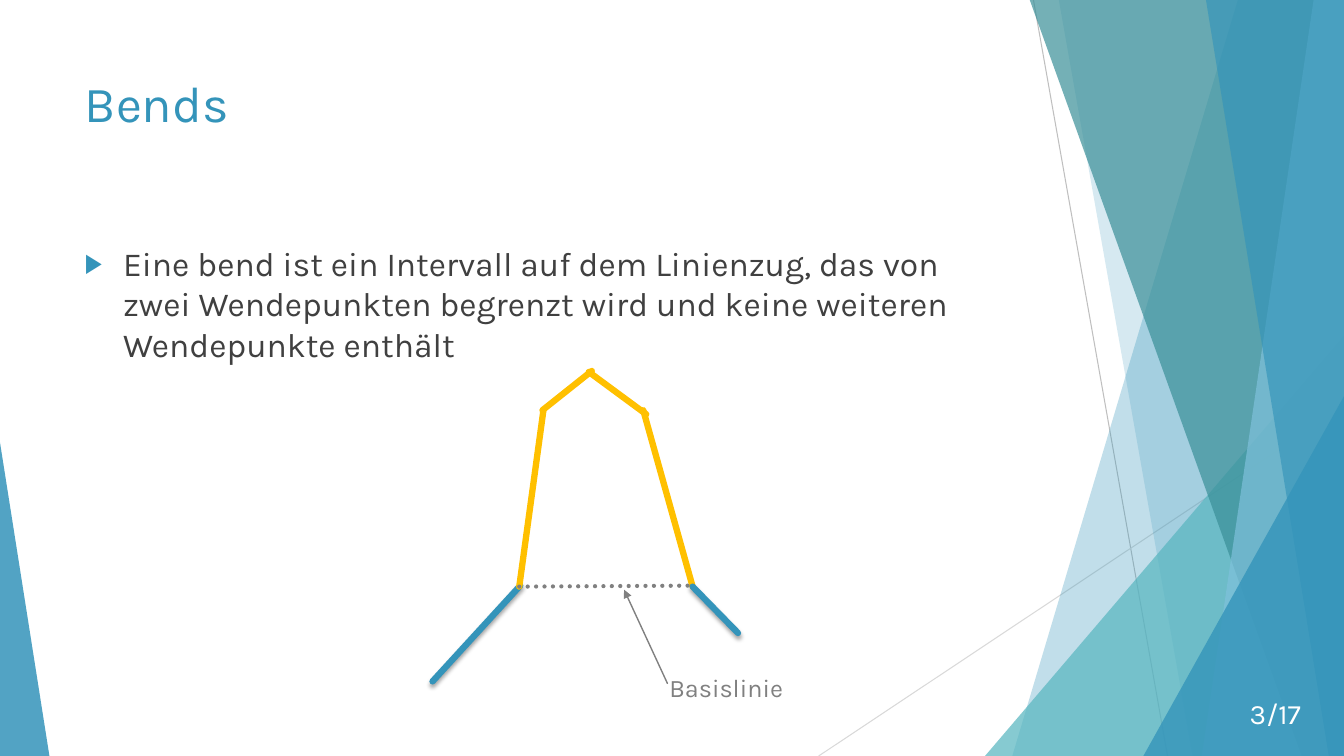
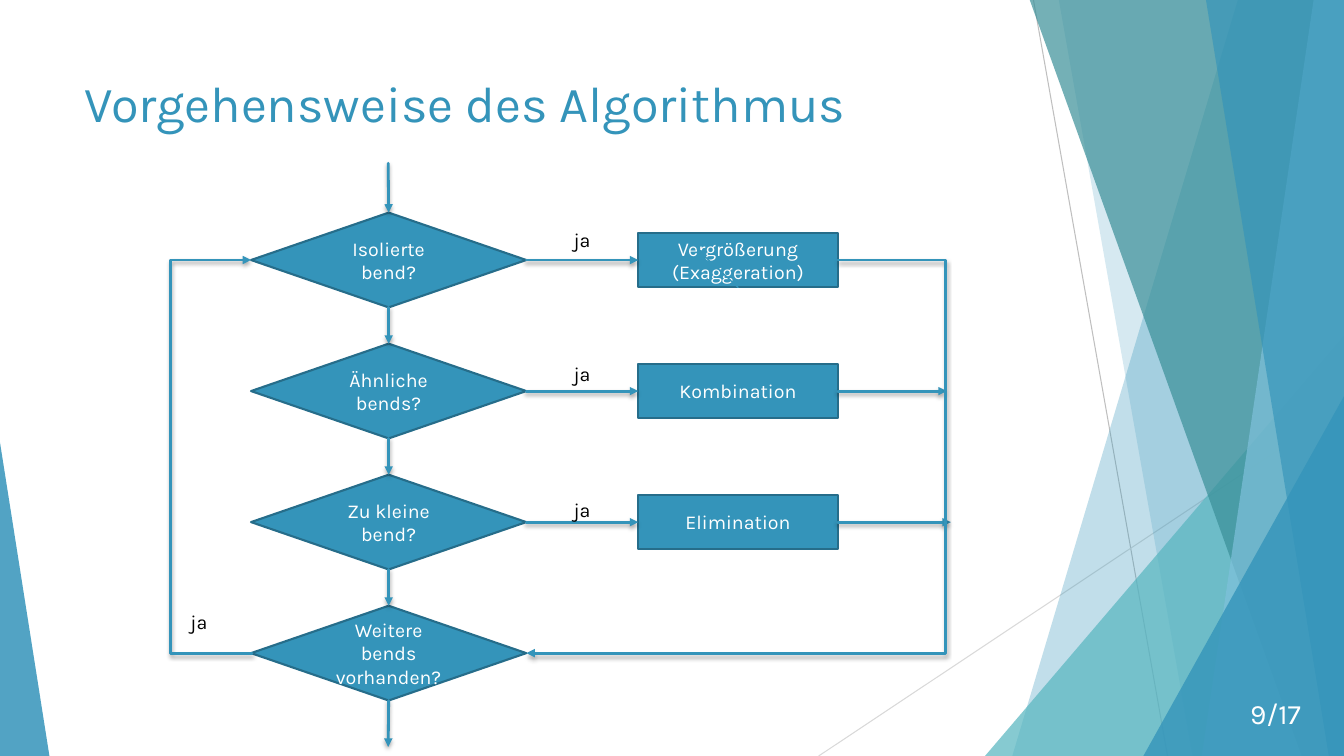
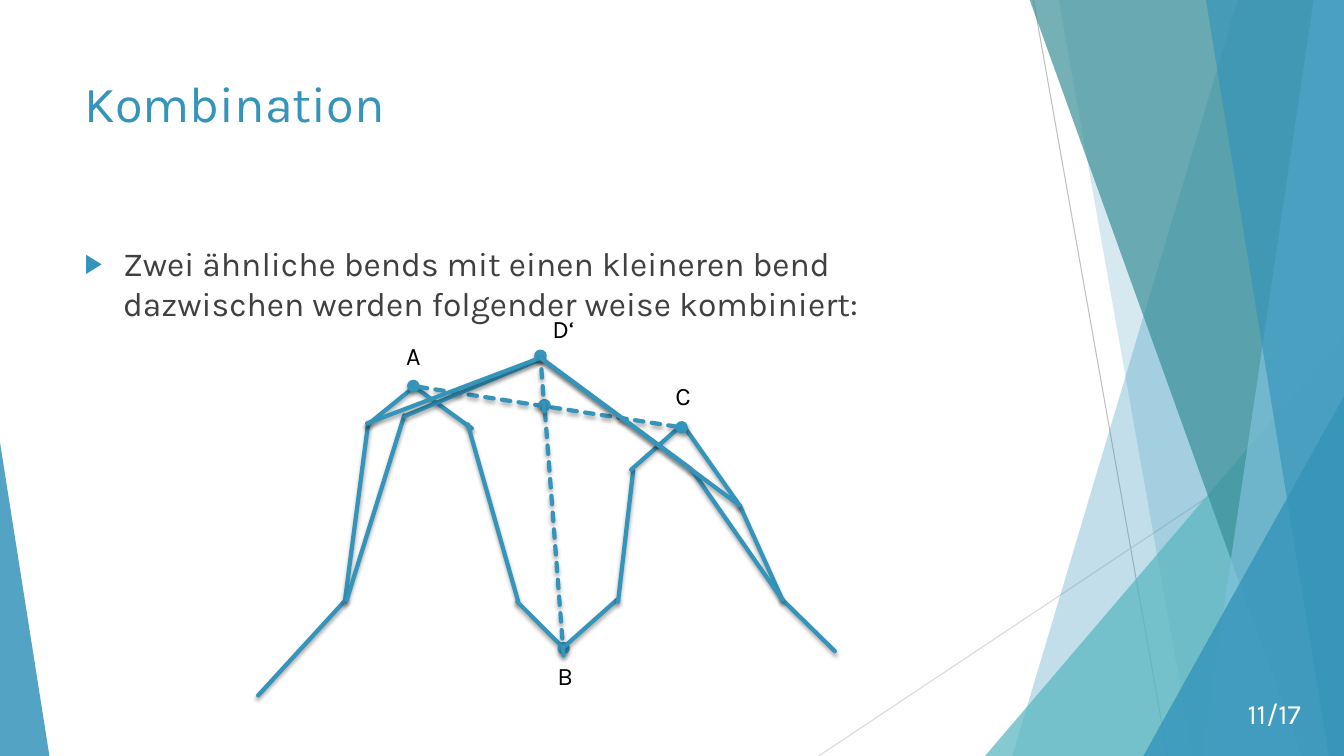
from dataclasses import dataclass
from typing import NamedTuple, Optional

from lxml import etree
from pptx import Presentation
from pptx.dml.color import RGBColor
from pptx.enum import dml, shapes, text
from pptx.oxml import ns
from pptx.util import Inches, Pt

BLUE = RGBColor(0x34, 0x94, 0xBA)
NAVY = RGBColor(0x26, 0x6D, 0x8A)
AQUA = RGBColor(0x58, 0xB6, 0xC0)
TEAL = RGBColor(0x3A, 0x8F, 0x98)
SKY = RGBColor(0x7F, 0xC1, 0xDB)
GOLD = RGBColor(0xFF, 0xC0, 0x00)
BLACK = RGBColor(0, 0, 0)
DARK = RGBColor(0x40, 0x40, 0x40)
GRAY = RGBColor(0x80, 0x80, 0x80)
SILVER = RGBColor(0xBF, 0xBF, 0xBF)
PALE = RGBColor(0xD9, 0xD9, 0xD9)
WHITE = RGBColor(0xFF, 0xFF, 0xFF)

FONT = "Karla"
WIDE, HIGH = 13.33, 7.5
TOTAL = 17
DOT = dml.MSO_LINE.ROUND_DOT
DASH = dml.MSO_LINE.SQUARE_DOT
LEFT = text.PP_ALIGN.LEFT
Point = tuple[float, float]


class Box(NamedTuple):
    left: float
    top: float
    width: float
    height: float


class Panel(NamedTuple):
    top: float
    base: float
    color: RGBColor
    alpha: int


class Wedge(NamedTuple):
    box: Box
    peak: float
    color: RGBColor
    alpha: int


class Label(NamedTuple):
    words: str
    box: Box


@dataclass(frozen=True)
class Line:
    start: Point
    end: Point
    color: RGBColor = BLUE
    width: float = 3
    dash: Optional[dml.MSO_LINE] = None
    head: str = ""
    tail: str = ""
    shadow: bool = True
    via: Optional[float] = None


TITLE = Box(0.74, 0.67, 9.4, 1.44)
BODY = Box(0.74, 2.36, 9.4, 4.24)
NUMBER = Box(11.75, 6.88, 1.25, 0.4)

RAYS = (
    Line((10.25, 0), (11.58, HIGH), SILVER, 0.75, shadow=False),
    Line((WIDE, 4.03), (8.12, HIGH), PALE, 0.75, shadow=False),
)
FACETS = (
    Panel(12.28, 10.04, BLUE, 30),
    Panel(10.5, 11.83, BLUE, 20),
    Wedge(Box(9.77, 3.33, 3.56, 4.17), 1, AQUA, 72),
    Panel(10.21, 12.91, TEAL, 70),
    Panel(13.03, 11.92, SKY, 70),
    Panel(11.96, 13.18, BLUE, 65),
    Wedge(Box(11.34, 3.93, 1.99, 3.57), 1, BLUE, 80),
    Wedge(Box(0, 4.39, 0.49, 3.11), 0, BLUE, 85),
)

BEND = (
    Line((4.29, 6.76), (5.16, 5.81), width=4.5),
    Line((5.15, 5.82), (5.39, 4.07), GOLD, 4.5, shadow=False),
    Line((5.38, 4.07), (5.87, 3.68), GOLD, 4.5, shadow=False),
    Line((5.84, 3.69), (6.41, 4.11), GOLD, 4.5, shadow=False),
    Line((6.38, 4.07), (6.87, 5.82), GOLD, 4.5, shadow=False),
    Line((6.87, 5.82), (7.32, 6.28), width=4.5),
    Line((5.15, 5.82), (6.87, 5.81), GRAY, 3, DOT, shadow=False),
    Line((6.62, 6.78), (6.19, 5.85), GRAY, 1, tail="triangle", shadow=False),
)

MERGE = (
    Line((2.56, 6.9), (3.43, 5.95)),
    Line((3.42, 5.97), (3.65, 4.21)),
    Line((3.65, 4.21), (4.13, 3.82)),
    Line((4.1, 3.83), (4.68, 4.25)),
    Line((4.64, 4.21), (5.14, 5.97)),
    Line((5.13, 5.97), (5.59, 6.43), tail="oval"),
    Line((5.58, 6.43), (6.12, 5.95)),
    Line((6.13, 5.97), (6.28, 4.67)),
    Line((6.26, 4.66), (6.77, 4.21)),
    Line((6.77, 4.21), (7.34, 5.02)),
    Line((7.34, 5.02), (7.76, 5.95)),
    Line((7.76, 5.95), (8.28, 6.46)),
    Line((4.1, 3.83), (6.76, 4.24), dash=DASH, head="oval", tail="oval"),
    Line((3.44, 5.95), (4.01, 4.12)),
    Line((4.01, 4.13), (5.37, 3.56)),
    Line((5.36, 3.55), (6.85, 4.65)),
    Line((6.86, 4.66), (7.76, 5.95)),
    Line((5.59, 6.5), (5.4, 4.02), dash=DASH, tail="oval"),
    Line((5.4, 4.08), (5.36, 3.53), dash=DASH, tail="oval"),
    Line((3.64, 4.2), (5.36, 3.55)),
    Line((7.33, 5.01), (5.36, 3.55)),
)
MARKS = (
    Label("A", Box(3.93, 3.33, 0.33, 0.4)),
    Label("C", Box(6.6, 3.72, 0.33, 0.4)),
    Label("B", Box(5.43, 6.5, 0.33, 0.4)),
    Label("D‘", Box(5.38, 3.06, 0.48, 0.4)),
)

TESTS = ("Isolierte bend?", "Ähnliche bends?", "Zu kleine bend?", "Weitere bends vorhanden?")
STEPS = ("Vergrößerung (Exaggeration)", "Kombination", "Elimination")
YES = (Point((5.59, 2.21)), Point((5.59, 3.54)), Point((5.59, 4.89)), Point((1.79, 6)))
PITCH = 1.3
AXIS = 3.85
MID = 2.58


def add(parent, tag: str, **attrs: str):
    item = etree.SubElement(parent, ns.qn(tag))
    for key, value in attrs.items():
        item.set(key, value)
    return item


def inch(values) -> list[int]:
    return [Inches(value) for value in values]


def style(para, size: float, color: RGBColor, align=LEFT) -> None:
    para.alignment = align
    para.font.name = FONT
    para.font.size = Pt(size)
    para.font.color.rgb = color


def place(shape, box: Box) -> None:
    shape.left, shape.top, shape.width, shape.height = inch(box)


def paint(shape, color: RGBColor, alpha: int) -> None:
    shape.shadow.inherit = False
    shape.fill.solid()
    shape.fill.fore_color.rgb = color
    shape.line.fill.background()
    tint = shape.element.spPr.find(ns.qn("a:solidFill"))[0]
    add(tint, "a:alpha", val=str(alpha * 1000))


def draw(slide, line: Line):
    bent = line.via is not None
    kind = shapes.MSO_CONNECTOR.ELBOW if bent else shapes.MSO_CONNECTOR.STRAIGHT
    link = slide.shapes.add_connector(kind, *inch(line.start + line.end))
    link.line.color.rgb = line.color
    link.line.width = Pt(line.width)
    if line.dash is not None:
        link.line.dash_style = line.dash
    props = link.element.spPr
    if bent:
        ratio = (line.via - line.start[0]) / (line.end[0] - line.start[0])
        guides = props.find(ns.qn("a:prstGeom")).find(ns.qn("a:avLst"))
        add(guides, "a:gd", name="adj1", fmla=f"val {round(ratio * 100000)}")
    pen = props.find(ns.qn("a:ln"))
    pen.set("cap", "rnd")
    add(pen, "a:round")
    if line.head:
        add(pen, "a:headEnd", type=line.head)
    if line.tail:
        add(pen, "a:tailEnd", type=line.tail)
    effect = add(props, "a:effectLst")
    if line.shadow:
        shade = add(effect, "a:outerShdw", blurRad=str(Pt(3)), dist=str(Pt(2)),
                    dir="5400000", algn="ctr", rotWithShape="0")
        add(add(shade, "a:srgbClr", val=str(BLACK)), "a:alpha", val="35000")
    return link


def write(slide, label: Label, size: float, color: RGBColor = BLACK, align=LEFT):
    box = slide.shapes.add_textbox(*inch(label.box))
    frame = box.text_frame
    frame.word_wrap = True
    frame.text = label.words
    style(frame.paragraphs[0], size, color, align)
    return box


def node(slide, kind, label: Label):
    shape = slide.shapes.add_shape(kind, *inch(label.box))
    shape.shadow.inherit = False
    shape.fill.solid()
    shape.fill.fore_color.rgb = BLUE
    shape.line.color.rgb = NAVY
    shape.line.width = Pt(1.5)
    frame = shape.text_frame
    frame.word_wrap = True
    frame.vertical_anchor = text.MSO_ANCHOR.MIDDLE
    frame.text = label.words
    style(frame.paragraphs[0], 14, WHITE, text.PP_ALIGN.CENTER)
    return shape


def facet(slide, part):
    if isinstance(part, Wedge):
        shape = slide.shapes.add_shape(
            shapes.MSO_SHAPE.ISOSCELES_TRIANGLE, *inch(part.box))
        shape.adjustments[0] = part.peak
    else:
        pen = slide.shapes.build_freeform(Inches(part.top), Inches(-0.01))
        ends = ((WIDE, -0.01), (WIDE, HIGH), (part.base, HIGH))
        pen.add_line_segments([inch(end) for end in ends], close=True)
        shape = pen.convert_to_shape()
    paint(shape, part.color, part.alpha)
    return shape


def share(slide, master) -> None:
    items = [draw(slide, ray) for ray in RAYS]
    items += [facet(slide, part) for part in FACETS]
    for count, item in enumerate(items, 100):
        item.element.xpath(".//p:cNvPr")[0].set("id", str(count))
        master.shapes.element.append(item.element)


def start(deck, layout: int, title: str, page: int):
    slide = deck.slides.add_slide(deck.slide_layouts[layout])
    head = slide.shapes.title
    place(head, TITLE)
    frame = head.text_frame
    frame.text = title
    frame.vertical_anchor = text.MSO_ANCHOR.TOP
    frame.auto_size = text.MSO_AUTO_SIZE.NONE
    style(frame.paragraphs[0], 36, BLUE)
    label = Label(f"{page}/{TOTAL}", NUMBER)
    box = write(slide, label, 20, WHITE, text.PP_ALIGN.RIGHT)
    box.text_frame.vertical_anchor = text.MSO_ANCHOR.MIDDLE
    return slide


def fill(slide, words: str) -> None:
    body = slide.placeholders[1]
    place(body, BODY)
    frame = body.text_frame
    frame.text = words
    frame.auto_size = text.MSO_AUTO_SIZE.NONE
    para = frame.paragraphs[0]
    para.space_before = Pt(10)
    props = para._p.get_or_add_pPr()
    props.set("marL", str(Inches(0.38)))
    props.set("indent", str(Inches(-0.38)))
    add(add(props, "a:buClr"), "a:srgbClr", val=str(BLUE))
    add(props, "a:buSzPct", val="80000")
    add(props, "a:buFont", typeface="Arial")
    add(props, "a:buChar", char="▶")
    style(para, 24, DARK)


def arrow(slide, begin: Point, end: Point, source=None, target=None,
          width: float = 2, shadow: bool = True, via: Optional[float] = None) -> None:
    link = draw(slide, Line(begin, end, width=width, tail="triangle",
                            shadow=shadow, via=via))
    if source:
        link.begin_connect(*source)
    if target:
        link.end_connect(*target)


def flow(slide) -> None:
    tests = [node(slide, shapes.MSO_SHAPE.DIAMOND,
                  Label(words, Box(2.49, 2.11 + PITCH * row, 2.73, 0.94)))
             for row, words in enumerate(TESTS)]
    steps = [node(slide, shapes.MSO_SHAPE.RECTANGLE,
                  Label(words, Box(6.33, 2.31 + PITCH * row, 1.98, 0.54)))
             for row, words in enumerate(STEPS)]
    last = MID + PITCH * 3
    arrow(slide, (7.32, 2.85), (6.91, 2.47), (steps[0], 2), width=1, shadow=False)
    for row, step in enumerate(steps):
        level = MID + PITCH * row
        arrow(slide, (5.22, level), (6.33, level), (tests[row], 3), (step, 1))
        arrow(slide, (AXIS, level + 0.47), (AXIS, level + 0.83),
              (tests[row], 2), (tests[row + 1], 0))
    for row, stop in ((1, 9.39), (2, 9.43)):
        level = MID + PITCH * row
        arrow(slide, (8.31, level), (stop, level), (steps[row], 3))
    arrow(slide, (AXIS, 1.62), (AXIS, 2.11), target=(tests[0], 0))
    arrow(slide, (AXIS, 6.95), (AXIS, 7.41), (tests[3], 2))
    arrow(slide, (8.31, MID), (5.22, last), via=9.38)
    arrow(slide, (2.5, last), (2.49, MID), via=1.68)
    for spot in YES:
        write(slide, Label("ja", Box(*spot, 0.48, 0.34)), 14)


def main() -> None:
    deck = Presentation()
    deck.slide_width, deck.slide_height = inch((WIDE, HIGH))

    bends = start(deck, 1, "Bends", 3)
    share(bends, deck.slide_master)
    fill(bends, "Eine bend ist ein Intervall auf dem Linienzug, das von zwei "
                "Wendepunkten begrenzt wird und keine weiteren Wendepunkte enthält")
    for line in BEND:
        draw(bends, line)
    write(bends, Label("Basislinie", Box(6.54, 6.62, 1.43, 0.4)), 18, GRAY)

    flow(start(deck, 5, "Vorgehensweise des Algorithmus", 9))

    merge = start(deck, 1, "Kombination", 11)
    fill(merge, "Zwei ähnliche bends mit einen kleineren bend dazwischen "
                "werden folgender weise kombiniert:")
    for line in MERGE:
        draw(merge, line)
    for mark in MARKS:
        write(merge, mark, 18)

    deck.save("out.pptx")


if __name__ == "__main__":
    main()
